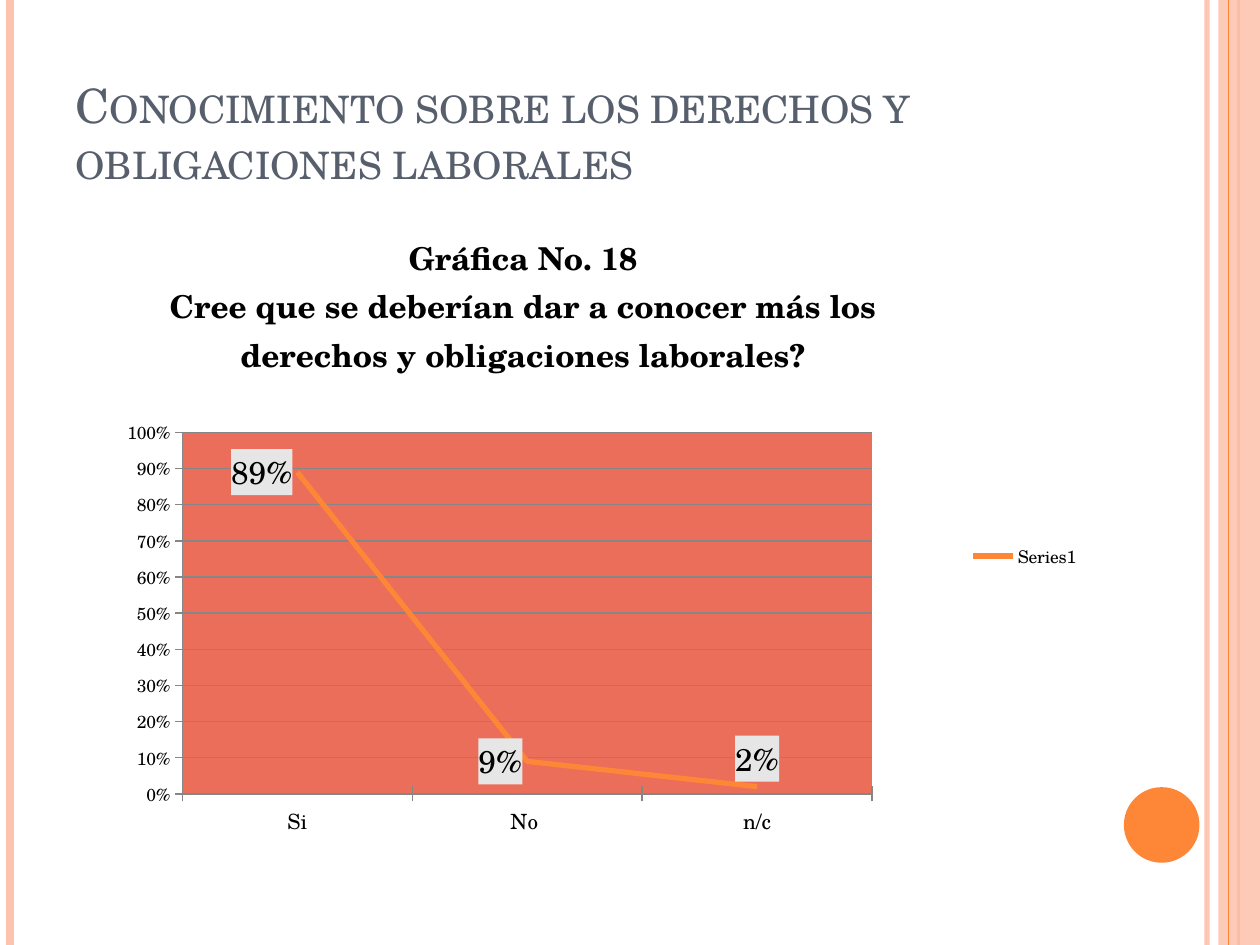
import pptx
import pptx.chart.data
import pptx.dml.color
import pptx.enum.chart
import pptx.enum.shapes
import pptx.enum.text
import pptx.oxml
import pptx.oxml.ns
import pptx.util

WIDTH = pptx.util.Inches(10)
HEIGHT = pptx.util.Inches(7.5)
FONT = "TeX Gyre Schola"
ORANGE, PEACH, GRID = "FE8637", "FEC3AE", "868686"
NS = pptx.oxml.ns.nsdecls("a", "c")
qn = pptx.oxml.ns.qn


def rgb(value):
    return pptx.dml.color.RGBColor.from_string(value)


def box(left, top, width, height):
    """Turn shares of the slide's size into lengths."""
    return (round(left * WIDTH), round(top * HEIGHT),
            round(width * WIDTH), round(height * HEIGHT))


def format_font(font, size, color="000000", bold=False):
    font.name = FONT
    font.size = pptx.util.Pt(size)
    font.bold = bold
    font.color.rgb = rgb(color)


def write_text(frame, text, small_caps=False, align=None, **font_format):
    """Write one paragraph for each line of text."""
    for number, line in enumerate(text.split("\n")):
        paragraph = frame.paragraphs[0] if number == 0 else frame.add_paragraph()
        paragraph.alignment = align
        run = paragraph.add_run()
        run.text = line
        format_font(run.font, **font_format)
        if small_caps:
            run.font._element.set("cap", "small")


def set_opacity(color_format_parent, percent):
    color = color_format_parent.find(".//" + qn("a:srgbClr"))
    color.append(pptx.oxml.parse_xml(f'<a:alpha {NS} val="{percent * 1000}"/>'))


def add_stripe(slide, x, color, weight, opacity=100):
    """Draw a full-height vertical line at a share of the slide's width."""
    left = round(x * WIDTH)
    stripe = slide.shapes.add_connector(
        pptx.enum.shapes.MSO_CONNECTOR.STRAIGHT, left, 0, left, HEIGHT)
    stripe.line.color.rgb = rgb(color)
    stripe.line.width = pptx.util.Pt(weight)
    properties = stripe._element.spPr
    if opacity < 100:
        set_opacity(properties, opacity)
    properties.append(pptx.oxml.parse_xml(f"<a:effectLst {NS}/>"))


def add_filled(slide, kind, place, color, opacity=100):
    shape = slide.shapes.add_shape(kind, *box(*place))
    shape.shadow.inherit = False
    shape.fill.solid()
    shape.fill.fore_color.rgb = rgb(color)
    shape.line.fill.background()
    if opacity < 100:
        set_opacity(shape._element.spPr, opacity)


def manual_layout(inner=False, **shares):
    """Build a chart layout from x, y, w and h as shares of the chart."""
    target = '<c:layoutTarget val="inner"/>' if inner else ""
    modes = "".join(f'<c:{key}Mode val="edge"/>' for key in "xy")
    values = "".join(f'<c:{key} val="{share}"/>' for key, share in shares.items())
    return pptx.oxml.parse_xml(
        f"<c:layout {NS}><c:manualLayout>{target}{modes}{values}"
        "</c:manualLayout></c:layout>")


def solid_properties(color):
    return pptx.oxml.parse_xml(
        f'<c:spPr {NS}><a:solidFill><a:srgbClr val="{color}"/></a:solidFill></c:spPr>')


def style_labels(labels, element, position):
    format_font(labels.font, 18)
    labels.position = position
    element.find(qn("c:txPr")).addprevious(solid_properties("E6E6E6"))


def style_axis(axis, size):
    axis.major_tick_mark = pptx.enum.chart.XL_TICK_MARK.CROSS
    axis.format.line.color.rgb = rgb(GRID)
    format_font(axis.tick_labels.font, size)


def style_plot_area(chart):
    area = chart._chartSpace.find(".//" + qn("c:plotArea"))
    for layout in area.findall(qn("c:layout")):
        area.remove(layout)
    area.insert(0, manual_layout(inner=True, x=0.116, y=0.316, w=0.67, h=0.538))
    area.append(solid_properties("EB6E5A"))


def add_answers_chart(slide):
    data = pptx.chart.data.CategoryChartData(number_format="0%")
    data.categories = ["Si", "No ", "n/c"]
    data.add_series("Series1", [0.89, 0.09, 0.02])
    chart = slide.shapes.add_chart(
        pptx.enum.chart.XL_CHART_TYPE.LINE, *box(0.05, 0.233, 0.817, 0.711), data).chart
    format_font(chart.font, 10)

    heading = chart.chart_title
    write_text(
        heading.text_frame,
        "Gráfica No. 18\nCree que se deberían dar a conocer más los "
        "derechos y obligaciones laborales?",
        size=18, bold=True, align=pptx.enum.text.PP_ALIGN.CENTER)
    title = heading._element
    for layout in title.findall(qn("c:layout")):
        title.remove(layout)
    title.find(qn("c:tx")).addnext(manual_layout(x=0.1, y=0.01))
    title.find(qn("c:overlay")).set("val", "1")

    chart.has_legend = True
    chart.legend.position = pptx.enum.chart.XL_LEGEND_POSITION.RIGHT
    chart.legend.include_in_layout = False
    format_font(chart.legend.font, 10)

    style_axis(chart.category_axis, 12)
    percent = chart.value_axis
    style_axis(percent, 10)
    percent.minimum_scale, percent.maximum_scale, percent.major_unit = 0, 1, 0.1
    percent.tick_labels.number_format = "0%"
    percent.tick_labels.number_format_is_linked = False
    percent.has_major_gridlines = True
    percent.major_gridlines.format.line.color.rgb = rgb(GRID)
    style_plot_area(chart)

    plot = chart.plots[0]
    plot.vary_by_categories = False
    answers = plot.series[0]
    answers.smooth = False
    answers.marker.style = pptx.enum.chart.XL_MARKER_STYLE.NONE
    answers.format.line.color.rgb = rgb(ORANGE)
    answers.format.line.width = pptx.util.Pt(3)

    positions = pptx.enum.chart.XL_LABEL_POSITION
    labels = answers.data_labels
    labels.show_value = True
    labels.number_format = "0%"
    labels.number_format_is_linked = False
    style_labels(labels, labels._element, positions.LEFT)
    no_answer = answers.points[2].data_label
    no_answer.position = positions.ABOVE
    style_labels(no_answer, labels._element.find(qn("c:dLbl")), positions.ABOVE)


def add_title(slide, text):
    title = slide.shapes.title
    title.left, title.top, title.width, title.height = box(0.05, 0.04, 0.817, 0.167)
    frame = title.text_frame
    frame.word_wrap = True
    frame.auto_size = pptx.enum.text.MSO_AUTO_SIZE.NONE
    frame.vertical_anchor = pptx.enum.text.MSO_ANCHOR.BOTTOM
    write_text(frame, text, size=27, color="575F6D", small_caps=True,
               align=pptx.enum.text.PP_ALIGN.LEFT)


def main():
    deck = pptx.Presentation()
    deck.slide_width, deck.slide_height = WIDTH, HEIGHT
    slide = deck.slides.add_slide(deck.slide_layouts[5])
    shapes = pptx.enum.shapes.MSO_SHAPE

    add_stripe(slide, 0.958, PEACH, 3, opacity=93)
    add_stripe(slide, 0.008, PEACH, 4.5)
    add_stripe(slide, 0.983, ORANGE, 1.5)
    add_filled(slide, shapes.RECTANGLE, (0.967, 0, 0.033, 1), PEACH, opacity=87)
    add_stripe(slide, 0.975, ORANGE, 0.75)
    add_filled(slide, shapes.OVAL, (0.892, 0.833, 0.06, 0.08), ORANGE)
    add_title(slide, "Conocimiento sobre los derechos y obligaciones laborales")
    add_answers_chart(slide)
    deck.save("out.pptx")


if __name__ == "__main__":
    main()
